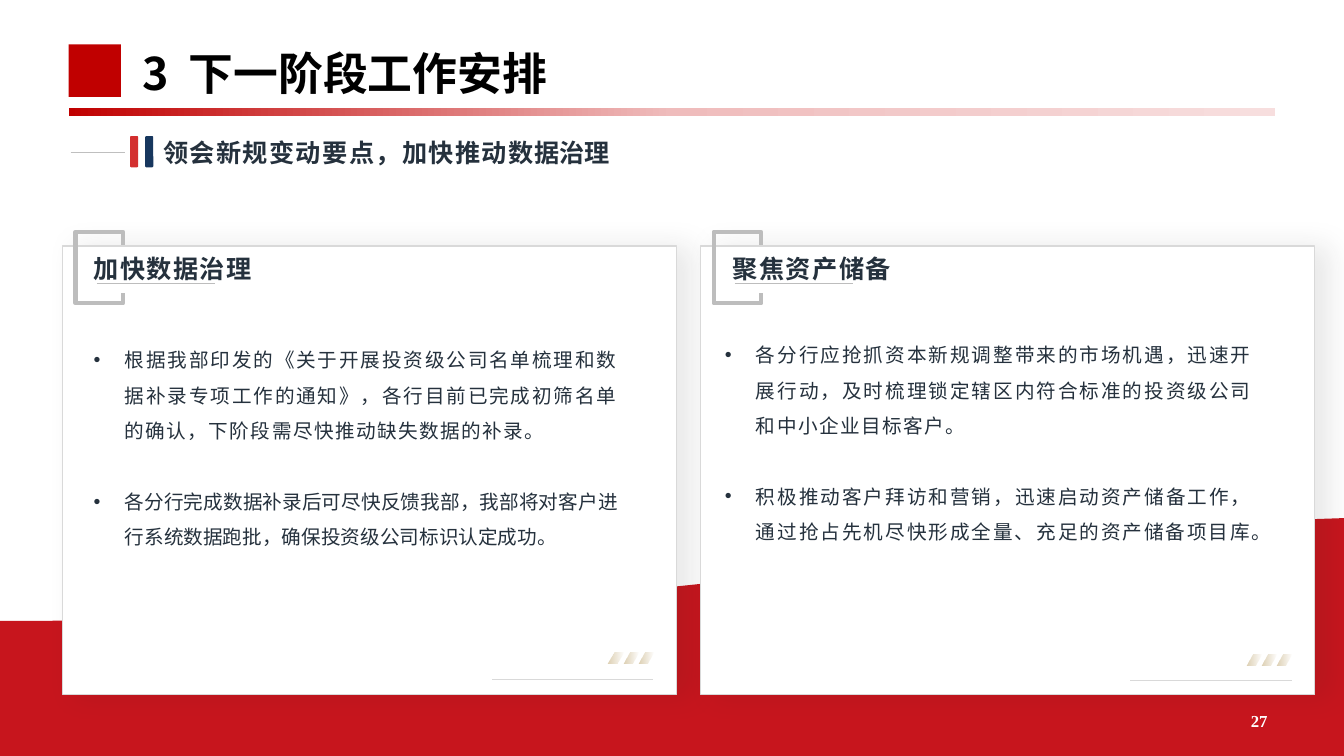
"""Builds the slide on next-stage work: a red theme with two text cards."""
from lxml.etree import SubElement
from pptx import Presentation
from pptx.dml.color import RGBColor
from pptx.enum.shapes import MSO_CONNECTOR as Link, MSO_SHAPE as Kind
from pptx.enum.text import MSO_ANCHOR as Anchor, PP_ALIGN as Align
from pptx.oxml.ns import qn
from pptx.util import Pt

PX = 9144
SANS = "Noto Sans CJK SC"
INK, GREY, PALE = "25313D", "BDBDBD", "D9D9D9"


def paint(item, fill=None, line=None, wide=1):
    """Set fill (a hex string or gradient stops), line and no shadow."""
    if isinstance(fill, str):
        item.fill.solid()
        item.fill.fore_color.rgb = RGBColor.from_string(fill)
    elif fill:
        item.fill.gradient()
        item.fill.gradient_angle = 0
        stops = item._element.spPr.find(".//" + qn("a:gsLst"))
        for stop in list(stops):
            stops.remove(stop)
        for pos, tone, alpha in fill:
            stop = SubElement(stops, qn("a:gs"), pos=str(pos * 1000))
            tint = SubElement(stop, qn("a:srgbClr"), val=tone)
            SubElement(tint, qn("a:alpha"), val=str(alpha * 1000))
    elif hasattr(item, "fill"):
        item.fill.background()
    if line:
        item.line.color.rgb = RGBColor.from_string(line)
        item.line.width = Pt(wide)
    else:
        item.line.fill.background()
    if hasattr(item, "shadow"):
        item.shadow.inherit = False
    else:
        SubElement(item._element.spPr, qn("a:effectLst"))


def write(para, parts, size, tone=INK, bold=True, face=SANS):
    """Fill a paragraph with (text, letter spacing) parts in one style."""
    for words, gap in parts:
        run = para.add_run()
        run.text = words
        font = run.font
        font.size, font.bold, font.name = Pt(size), bold, face
        font.color.rgb = RGBColor.from_string(tone)
        props = run._r.get_or_add_rPr()
        props.set("spc", str(round(gap * 100)))
        SubElement(props, qn("a:ea"), typeface=face)


deck = Presentation()
deck.slide_width, deck.slide_height = 1333 * PX, 750 * PX
slide = deck.slides.add_slide(deck.slide_layouts[5])
shapes = slide.shapes

fade = [(0, "C00000", 100), (50, "EFBCBC", 100), (100, "F7DEDE", 100)]
for kind, x, y, w, h, fill in [
    (Kind.RECTANGLE, 68, 44, 52, 52, "C00000"),
    (Kind.RECTANGLE, 68, 107, 1197, 8, fade),
    (Kind.ROUNDED_RECTANGLE, 144, 135, 8, 31, "17375E"),
    (Kind.ROUNDED_RECTANGLE, 129, 135, 8, 31, "D32F2F"),
]:
    mark = shapes.add_shape(kind, x * PX, y * PX, w * PX, h * PX)
    if kind == Kind.ROUNDED_RECTANGLE:
        mark.adjustments[0] = 0.15
    paint(mark, fill)

edge = []
for a, b, c, d in [
    ((44, 616), (313, 614), (582, 598), (852, 560)),
    ((852, 560), (1003, 539), (1153, 524), (1304, 515)),
]:
    for step in range(1, 13):
        t = step / 12
        s = 1 - t
        edge.append(tuple(
            s**3 * i + 3 * s * s * t * j + 3 * s * t * t * k + t**3 * m
            for i, j, k, m in zip(a, b, c, d)))
pen = shapes.build_freeform(1333, 514, scale=PX)
pen.add_line_segments([(1333, 750), (0, 750), (0, 616), (44, 616)] + edge)
paint(pen.convert_to_shape(), "C7151D")

title = shapes.title
title.left, title.top = 131 * PX, 34 * PX
title.width, title.height = 765 * PX, 77 * PX
title.text_frame.vertical_anchor = Anchor.MIDDLE
title.text_frame.paragraphs[0].alignment = Align.LEFT
write(title.text_frame.paragraphs[0],
      [("3", 0), (" ", 7), ("下一阶段工作安排", 0)], 32, "000000")

cards = [
    (62, 83, 329, 540, 0, "加快数据治理", [
        ("根据我部印发的《关于开展投资级公司名单梳理和数据补录专项工作的通知》，"
         "各行目前已完成初筛名单的确认，下阶段需尽快推动缺失数据的补录。", 1),
        ("各分行完成数据补录后可尽快反馈我部，我部将对客户进行系统数据跑批，"
         "确保投资级公司标识认定成功。", 0)]),
    (695, 709, 324, 543, 1, "聚焦资产储备", [
        ("各分行应抢抓资本新规调整带来的市场机遇，迅速开展行动，"
         "及时梳理锁定辖区内符合标准的投资级公司和中小企业目标客户。", 1),
        ("积极推动客户拜访和营销，迅速启动资产储备工作，"
         "通过抢占先机尽快形成全量、充足的资产储备项目库。", 1)]),
]
labels = [(152, 131, 520, Align.LEFT, 18, INK, SANS,
           [("领会新规变动要点，加快推动", 1), ("数据治理", 0)]),
          (956, 695, 311, Align.RIGHT, 12, "FFFFFF", "Times New Roman",
           [("27", 0)])]
rules = [(70, 124, 151, "BFBFBF", 0.5)]
glow = [(0, "DCCEB0", 100), (100, "DCCEB0", 0)]

for left, inset, top, wide, drop, head, items in cards:
    card = shapes.add_shape(Kind.ROUNDED_RECTANGLE, left * PX, 244 * PX,
                            609 * PX, 445 * PX)
    card.adjustments[0] = 0
    paint(card, "FFFFFF", PALE)
    glare = SubElement(card._element.spPr.find(qn("a:effectLst")),
                       qn("a:outerShdw"), blurRad=str(Pt(20)),
                       dist=str(Pt(10)), dir="0", algn="l", rotWithShape="0")
    tint = SubElement(glare, qn("a:srgbClr"), val="262626")
    SubElement(tint, qn("a:alpha"), val="10000")

    x = left + 13
    pen = shapes.build_freeform(x + 47, 291, scale=PX)
    pen.add_line_segments([(x + 47, 301), (x, 301), (x, 230), (x + 47, 230),
                           (x + 47, 243)], close=False)
    frame = pen.convert_to_shape()
    paint(frame, None, GREY, 3)
    SubElement(frame.line._get_or_add_ln(), qn("a:round"))

    labels.append((left + 21 + drop, 246, 342, Align.LEFT, 18, INK, SANS,
                   [(head, 1)]))
    rules += [(left + 34, left + 151, 281, GREY, 0.25),
              (left + 426, left + 586, 674 + drop, PALE, 1)]

    body = shapes.add_textbox(inset * PX, top * PX, wide * PX, 257 * PX)
    body.text_frame.word_wrap = True
    for n, item in enumerate(items):
        para = (body.text_frame.add_paragraph() if n
                else body.text_frame.paragraphs[0])
        para.alignment = Align.JUSTIFY
        para.line_spacing = Pt(25.2)
        if n:
            para.space_before = Pt(25.2)
        props = para._p.get_or_add_pPr()
        props.set("marL", str(31 * PX))
        props.set("indent", str(-31 * PX))
        SubElement(props, qn("a:buFont"), typeface="Arial")
        SubElement(props, qn("a:buChar"), char="•")
        write(para, [item], 14, bold=False)

    for n in range(3):
        slash = shapes.add_shape(
            Kind.PARALLELOGRAM, (left + 541 + 15 * n) * PX,
            (647 + 2 * drop) * PX, 15 * PX, 11 * PX)
        slash.adjustments[0] = 0.56
        paint(slash, glow)

for x, y, w, side, size, tone, face, parts in labels:
    box = shapes.add_textbox(x * PX, y * PX, w * PX, 40 * PX)
    box.text_frame.word_wrap = True
    box.text_frame.vertical_anchor = Anchor.MIDDLE
    box.text_frame.paragraphs[0].alignment = side
    write(box.text_frame.paragraphs[0], parts, size, tone, face=face)

for x, end, y, tone, wide in rules:
    rule = shapes.add_connector(Link.STRAIGHT, x * PX, y * PX, end * PX, y * PX)
    paint(rule, None, tone, wide)

deck.save("out.pptx")
